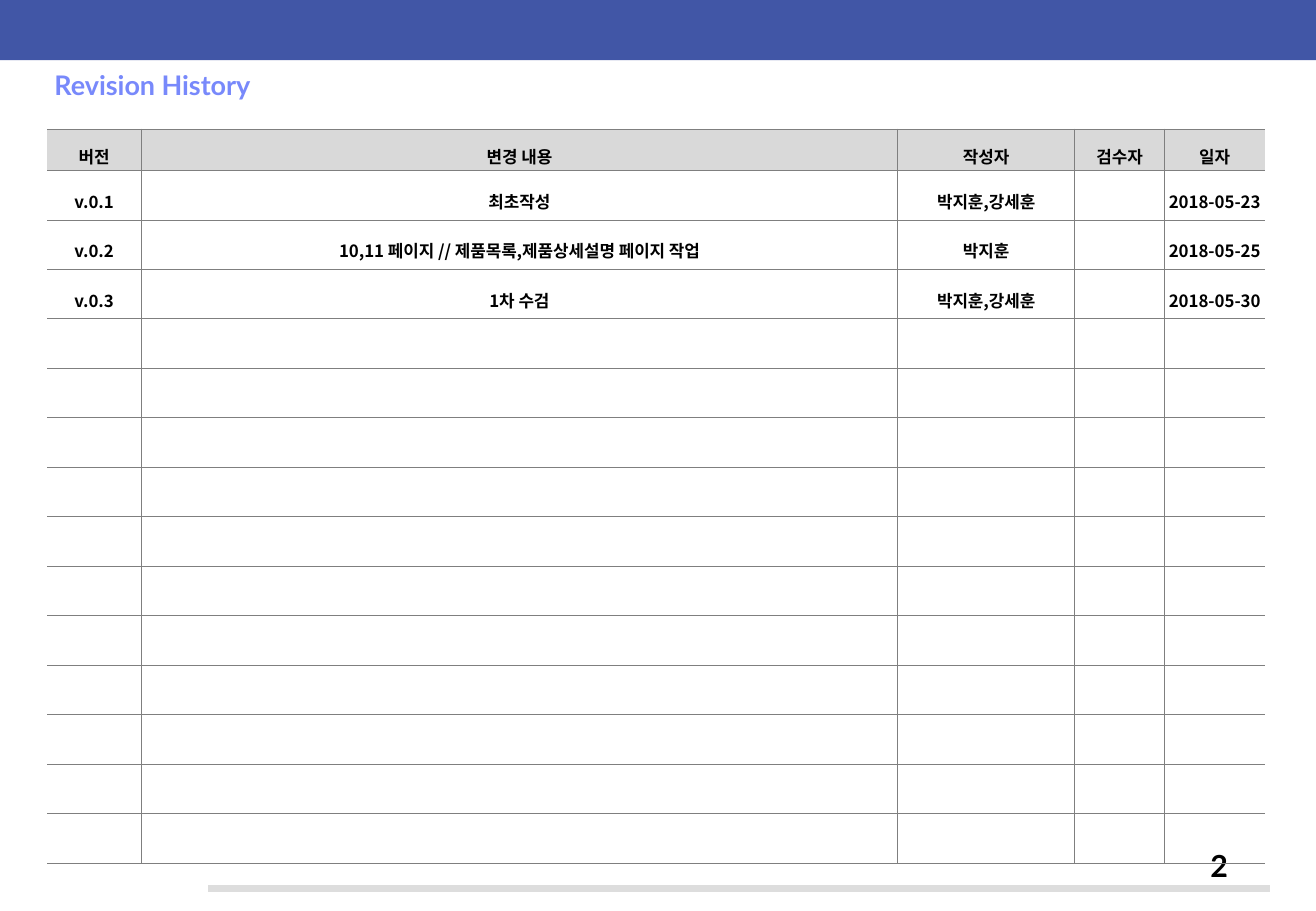
from lxml import etree
from pptx import Presentation
from pptx.dml.color import RGBColor
from pptx.enum.shapes import MSO_CONNECTOR, MSO_SHAPE
from pptx.enum.text import MSO_ANCHOR, MSO_AUTO_SIZE, PP_ALIGN
from pptx.oxml.ns import qn
from pptx.util import Cm, Pt

RECTANGLE = MSO_SHAPE.RECTANGLE
STRAIGHT = MSO_CONNECTOR.STRAIGHT
MIDDLE, TOP = MSO_ANCHOR.MIDDLE, MSO_ANCHOR.TOP
LEFT, CENTER = PP_ALIGN.LEFT, PP_ALIGN.CENTER
NO_AUTO_SIZE = MSO_AUTO_SIZE.NONE

SLIDE_WIDTH, SLIDE_HEIGHT = 27.53, 19.05
COLUMN_WIDTHS = [1.96, 15.83, 3.7, 1.88, 2.1]
HEADER_HEIGHT, ROW_HEIGHT, ROW_COUNT = 0.86, 1.035, 15
REVISIONS = [
    ["버전", "변경 내용", "작성자", "검수자", "일자"],
    ["v.0.1", "최초작성", "박지훈,강세훈", "", "2018-05-23"],
    ["v.0.2", "10,11 페이지 // 제품목록,제품상세설명 페이지 작업", "박지훈", "", "2018-05-25"],
    ["v.0.3", "1차 수검", "박지훈,강세훈", "", "2018-05-30"],
]


def color(value):
    return RGBColor.from_string(value)


class SlideBuilder:
    latin_font = "Lato"
    korean_font = "Noto Sans CJK KR"
    black = "000000"
    banner = "4156A6"
    accent = "7889FB"
    footer = "DDDDDD"
    header = "D9D9D9"
    grid = "7F7F7F"

    def __init__(self, presentation):
        self.slide = presentation.slides.add_slide(presentation.slide_layouts[5])

    def format_paragraph(self, paragraph, font_name, size, text_color, alignment, spacing=1.0):
        paragraph.alignment = alignment
        paragraph.line_spacing = spacing
        font = paragraph.font
        font.name = font_name
        font.size = Pt(size)
        font.bold = True
        font.color.rgb = color(text_color)
        properties = paragraph._p.pPr.find(qn("a:defRPr"))
        etree.SubElement(properties, qn("a:ea")).set("typeface", font_name)

    def fill_frame(self, shape, text, size, text_color, anchor, spacing=1.0):
        frame = shape.text_frame
        frame.text = text
        frame.word_wrap = True
        frame.auto_size = NO_AUTO_SIZE
        frame.vertical_anchor = anchor
        frame.margin_left = frame.margin_right = Cm(0.25)
        frame.margin_top = frame.margin_bottom = Cm(0.13)
        self.format_paragraph(frame.paragraphs[0], self.latin_font, size, text_color, LEFT, spacing)

    def add_bar(self, left, top, width, height, fill):
        shape = self.slide.shapes.add_shape(RECTANGLE, Cm(left), Cm(top), Cm(width), Cm(height))
        shape.shadow.inherit = False
        shape.fill.solid()
        shape.fill.fore_color.rgb = color(fill)
        shape.line.fill.background()

    def add_rule(self, left, right, top, line_color, width):
        connector = self.slide.shapes.add_connector(STRAIGHT, Cm(left), Cm(top), Cm(right), Cm(top))
        connector.line.color.rgb = color(line_color)
        connector.line.width = Pt(width)
        etree.SubElement(connector._element.spPr, qn("a:effectLst"))

    def add_title(self, text, left, top, width, height):
        title = self.slide.shapes.title
        title.left, title.top = Cm(left), Cm(top)
        title.width, title.height = Cm(width), Cm(height)
        self.fill_frame(title, text, 16, self.accent, MIDDLE, 0.9)

    def add_text(self, text, left, top, width, height, size):
        box = self.slide.shapes.add_textbox(Cm(left), Cm(top), Cm(width), Cm(height))
        self.fill_frame(box, text, size, self.black, TOP)

    def set_borders(self, cell, hidden_sides):
        properties = cell._tc.get_or_add_tcPr()
        for side in ("L", "R", "T", "B"):
            line = etree.SubElement(properties, qn(f"a:ln{side}"), w=str(Pt(0.5)))
            if side in hidden_sides:
                etree.SubElement(line, qn("a:noFill"))
            else:
                fill = etree.SubElement(line, qn("a:solidFill"))
                etree.SubElement(fill, qn("a:srgbClr"), val=self.grid)

    def format_cell(self, cell, text, hidden_sides, is_header):
        self.set_borders(cell, hidden_sides)
        if is_header:
            cell.fill.solid()
            cell.fill.fore_color.rgb = color(self.header)
        else:
            cell.fill.background()
        cell.margin_left = cell.margin_right = Cm(0.08)
        cell.margin_top = cell.margin_bottom = Cm(0.05)
        cell.vertical_anchor = MIDDLE
        if text:
            cell.text = text
        paragraph = cell.text_frame.paragraphs[0]
        self.format_paragraph(paragraph, self.korean_font, 10, self.black, CENTER, 1.5)

    def add_table(self, records, left, top, widths, heights):
        frame = self.slide.shapes.add_table(
            len(heights), len(widths), Cm(left), Cm(top), Cm(sum(widths)), Cm(sum(heights)))
        table = frame.table
        table.first_row = table.horz_banding = False
        for column, width in zip(table.columns, widths):
            column.width = Cm(width)
        for row_index, (row, height) in enumerate(zip(table.rows, heights)):
            row.height = Cm(height)
            texts = records[row_index] if row_index < len(records) else [""] * len(widths)
            for column_index, text in enumerate(texts):
                hidden_sides = {0: "L", len(widths) - 1: "R"}.get(column_index, "")
                self.format_cell(row.cells[column_index], text, hidden_sides, row_index == 0)


def main():
    presentation = Presentation()
    presentation.slide_width = Cm(SLIDE_WIDTH)
    presentation.slide_height = Cm(SLIDE_HEIGHT)
    builder = SlideBuilder(presentation)
    builder.add_bar(0, 0, SLIDE_WIDTH, 1.26, builder.banner)
    builder.add_rule(4.36, 26.57, 18.58, builder.footer, 4.5)
    builder.add_text("2", 25.07, 17.58, 2.03, 0.43, 18)
    builder.add_title("Revision History", 0.89, 1.32, 10, 1)
    row_heights = [HEADER_HEIGHT] + [ROW_HEIGHT] * (ROW_COUNT - 1)
    builder.add_table(REVISIONS, 0.99, 2.7, COLUMN_WIDTHS, row_heights)
    presentation.save("out.pptx")


if __name__ == "__main__":
    main()
